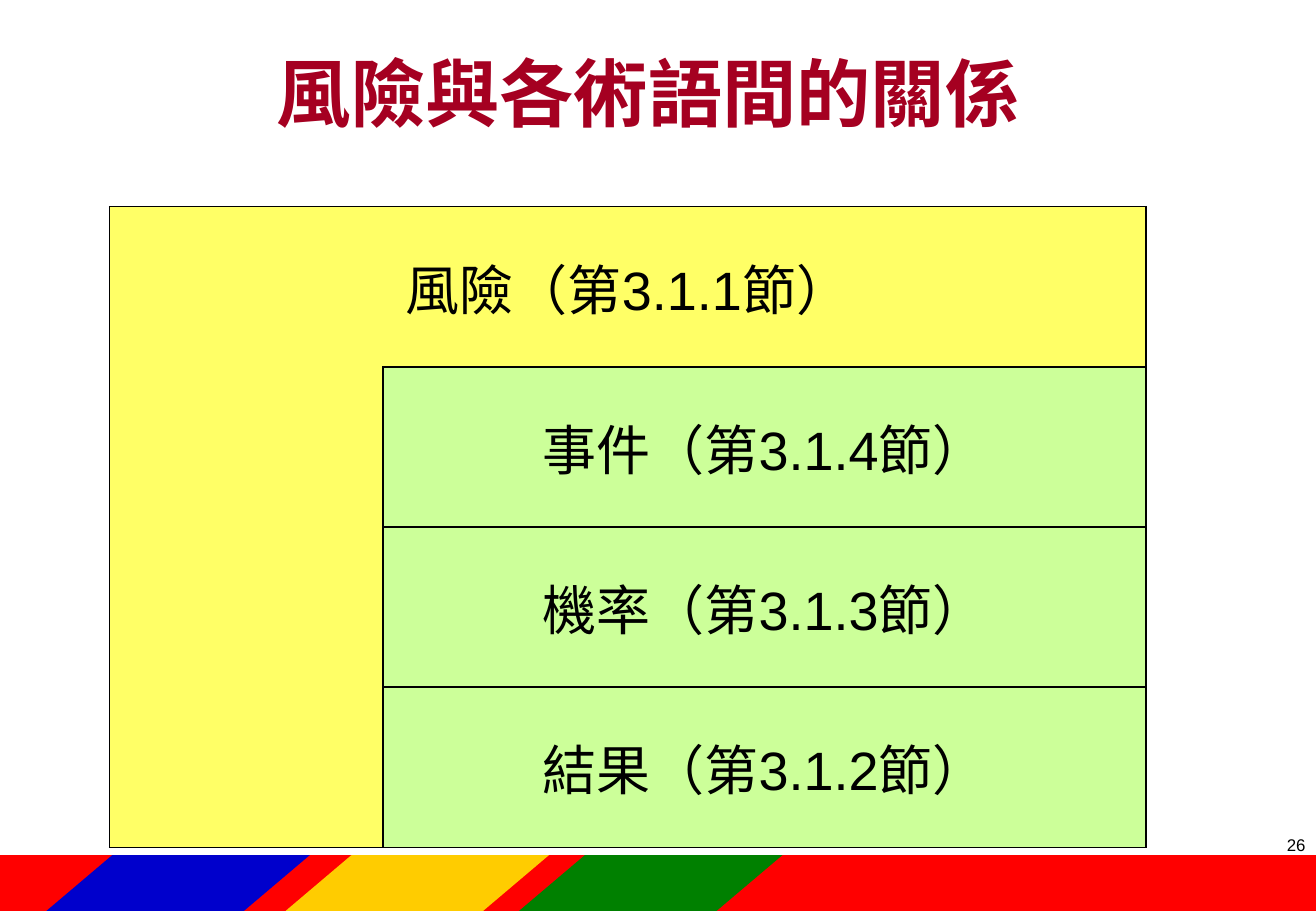
from lxml import etree
from pptx import Presentation
from pptx.dml.color import RGBColor
from pptx.enum.shapes import MSO_SHAPE
from pptx.enum.text import MSO_ANCHOR, PP_ALIGN
from pptx.oxml.ns import qn
from pptx.util import Cm, Pt

RECT = MSO_SHAPE.RECTANGLE
SLANT = MSO_SHAPE.PARALLELOGRAM
MIDDLE = MSO_ANCHOR.MIDDLE
CENTER = PP_ALIGN.CENTER
RIGHT = PP_ALIGN.RIGHT
LATIN = "Arial"
HAN = "Noto Sans CJK SC"
PLAIN = "{2D5ABB26-0587-4C30-8999-92F81FD0307C}"
COLORS = {
    "black": "000000",
    "title": "A50021",
    "risk": "FFFF66",
    "term": "CCFF99",
    "red": "FF0000",
    "gold": "FFCC00",
    "green": "008000",
    "blue": "0000CC",
}
TERMS = [("事件", "3.1.4"), ("機率", "3.1.3"), ("結果", "3.1.2")]
STRIPES = [("gold", 5.97), ("green", 10.85), ("blue", 0.97)]


def color(name):
    return RGBColor.from_string(COLORS[name])


def style(run, size, font=LATIN, tint="black", bold=False):
    run.font.size = Pt(size)
    run.font.bold = bold
    run.font.name = font
    run.font.color.rgb = color(tint)
    east = etree.SubElement(run.font._element, qn("a:ea"))
    east.set("typeface", HAN)


def add_band(slide, kind, tint, left, width):
    band = slide.shapes.add_shape(kind, Cm(left), Cm(17.88), Cm(width), Cm(1.17))
    band.shadow.inherit = False
    band.fill.solid()
    band.fill.fore_color.rgb = color(tint)
    band.line.fill.background()
    return band


def add_stripes(slide):
    add_band(slide, RECT, "red", -0.05, 27.56)
    for tint, left in STRIPES:
        add_band(slide, SLANT, tint, left, 5.51).adjustments[0] = 1.18


def add_number(slide, text):
    box = slide.shapes.add_textbox(Cm(21.11), Cm(17.32), Cm(6.43), Cm(1.27))
    frame = box.text_frame
    frame.word_wrap = True
    frame.text = text
    para = frame.paragraphs[0]
    para.alignment = RIGHT
    style(para.runs[0], 10)


def set_title(slide, text):
    title = slide.shapes.title
    title.left, title.top = Cm(1.35), Cm(0.33)
    title.width, title.height = Cm(24.77), Cm(3.18)
    frame = title.text_frame
    frame.vertical_anchor = MIDDLE
    frame.text = text
    para = frame.paragraphs[0]
    para.alignment = CENTER
    style(para.runs[0], 44, tint="title", bold=True)


def paint(cell, tint, sides):
    props = cell._tc.get_or_add_tcPr()
    for side in "LRTB":
        if side in sides:
            line = etree.SubElement(props, qn("a:ln" + side), w=str(Pt(1)))
            fill = etree.SubElement(line, qn("a:solidFill"))
            etree.SubElement(fill, qn("a:srgbClr"), val=COLORS["black"])
    cell.fill.solid()
    cell.fill.fore_color.rgb = color(tint)


def write(cell, term, clause):
    cell.vertical_anchor = MIDDLE
    cell.margin_left = cell.margin_right = Cm(0.28)
    cell.margin_top = cell.margin_bottom = Cm(0.13)
    para = cell.text_frame.paragraphs[0]
    para.alignment = CENTER
    for text, font in [(term + "（第", HAN), (clause, LATIN), ("節）", HAN)]:
        run = para.add_run()
        run.text = text
        style(run, 32, font)


def add_terms(slide):
    frame = slide.shapes.add_table(4, 2, Cm(2.29), Cm(4.32), Cm(21.67), Cm(13.4))
    table = frame.table
    table.first_row = table.horz_banding = False
    table._tbl.tblPr.find(qn("a:tableStyleId")).text = PLAIN
    for col, width in zip(table.columns, (5.72, 15.95)):
        col.width = Cm(width)
    for row in table.rows:
        row.height = Cm(3.35)
    table.cell(0, 0).merge(table.cell(0, 1))
    table.cell(1, 0).merge(table.cell(3, 0))
    paint(table.cell(0, 0), "risk", "LRT")
    paint(table.cell(0, 1), "risk", "RT")
    write(table.cell(0, 0), "風險", "3.1.1")
    for row, (term, clause) in enumerate(TERMS, 1):
        paint(table.cell(row, 0), "risk", "LRB" if row in (1, 3) else "LR")
        paint(table.cell(row, 1), "term", "LRTB")
        write(table.cell(row, 1), term, clause)


def main():
    deck = Presentation()
    deck.slide_width, deck.slide_height = Cm(27.51), Cm(19.05)
    slide = deck.slides.add_slide(deck.slide_layouts[5])
    add_stripes(slide)
    add_number(slide, "26")
    set_title(slide, "風險與各術語間的關係 ")
    add_terms(slide)
    deck.save("out.pptx")


if __name__ == "__main__":
    main()
